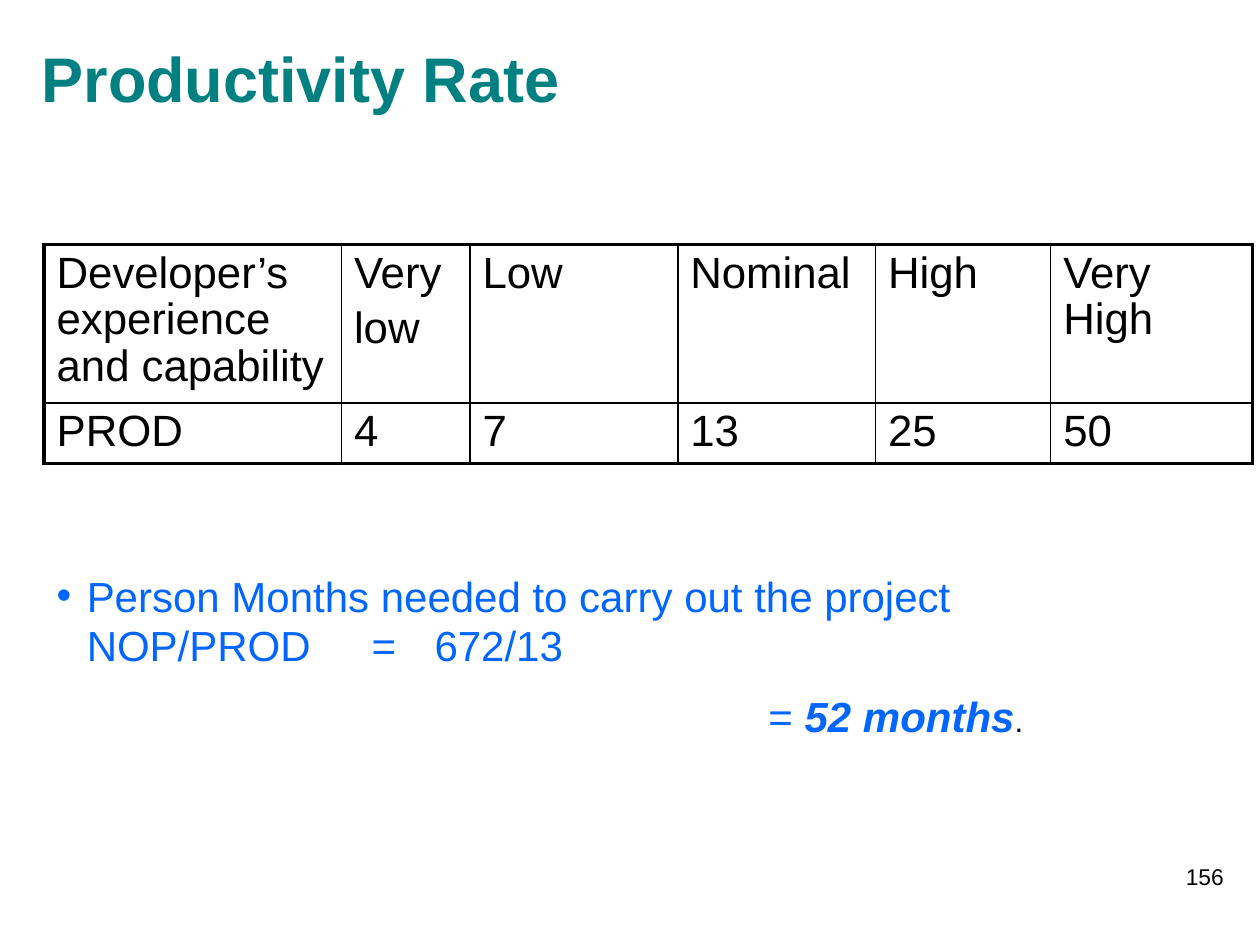
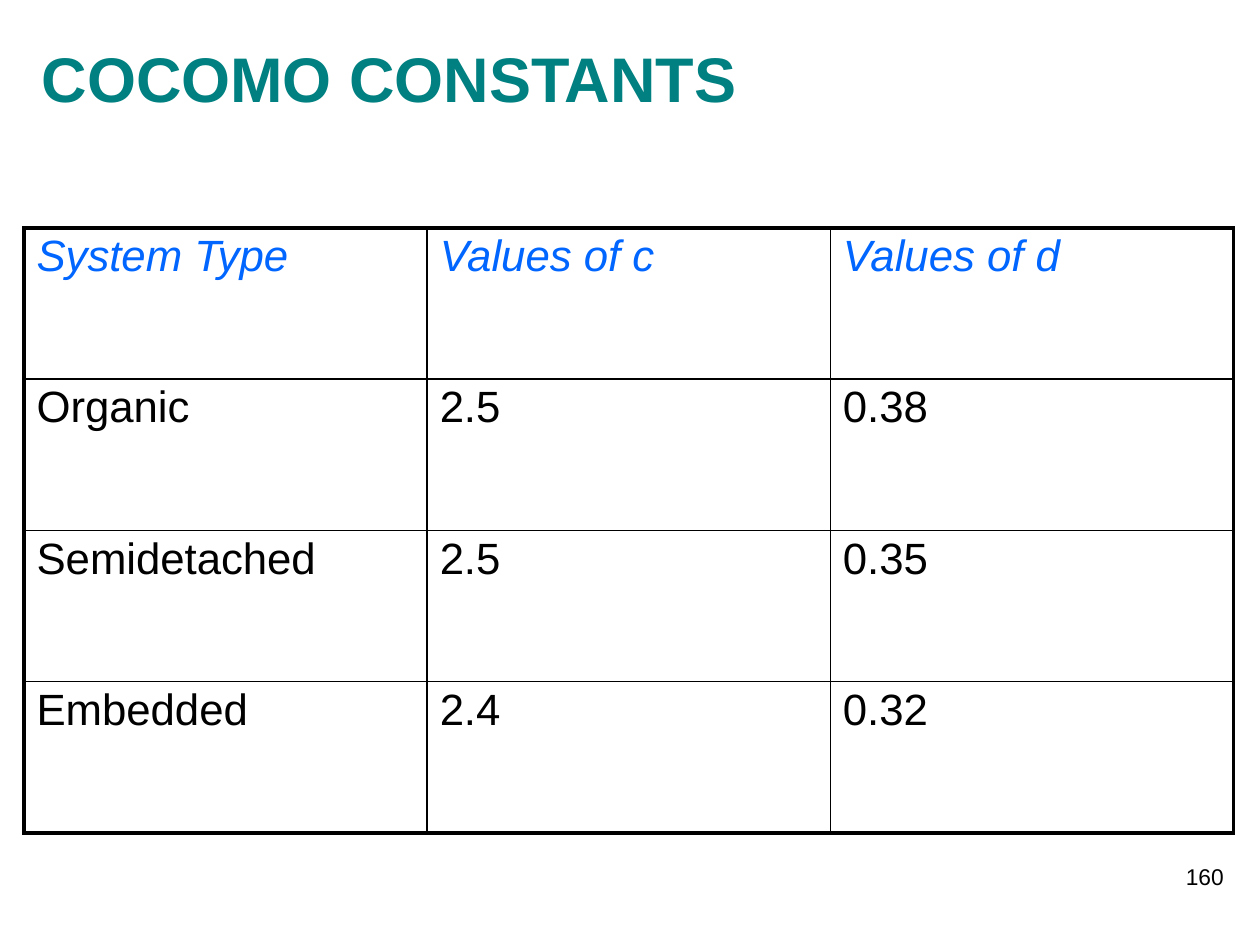
from pptx import Presentation
from pptx.dml.color import RGBColor
from pptx.enum.text import MSO_ANCHOR, PP_ALIGN
from pptx.oxml.ns import qn
from pptx.util import Inches, Pt
from lxml.etree import SubElement

TEAL = RGBColor(0x00, 0x80, 0x80)
BLUE = RGBColor(0x00, 0x66, 0xFF)
BLACK = RGBColor(0x00, 0x00, 0x00)
FONT = "Arial"
OUTER, INNER = Pt(2.25), Pt(1)

SLIDES = [
    {
        "title": "Productivity Rate", "number": "156",
        "at": (0.35, 1.94), "cols": [2.36, 1.02, 1.65, 1.57, 1.39, 1.6],
        "rows": [1.26, 0.48], "header": {"color": BLACK},
        "cells": [
            ["Developer’s experience and capability", "Very\nlow", "Low",
             "Nominal", "High", "Very High"],
            ["PROD", "4", "7", "13", "25", "50"],
        ],
    },
    {
        "title": "COCOMO CONSTANTS", "number": "160",
        "at": (0.19, 1.81), "cols": [3.2] * 3,
        "rows": [1.2] * 4, "header": {"color": BLUE, "italic": True},
        "cells": [
            ["System Type", "Values of c", "Values of d"],
            ["Organic", "2.5", "0.38"],
            ["Semidetached", "2.5", "0.35"],
            ["Embedded", "2.4", "0.32"],
        ],
    },
]


def style(font, size, color, **options):
    font.color.rgb = color
    for name, value in {"name": FONT, "size": Pt(size), **options}.items():
        setattr(font, name, value)


def set_borders(cell, widths):
    """Draw the cell's sides; widths maps lnL, lnR, lnT, lnB to line widths."""
    tcPr = cell._tc.get_or_add_tcPr()
    for i, (side, width) in enumerate(widths.items()):
        ln = tcPr.makeelement(qn(f"a:{side}"), {"w": str(width)})
        fill = SubElement(ln, qn("a:solidFill"))
        SubElement(fill, qn("a:srgbClr"), val=str(BLACK))
        tcPr.insert(i, ln)


prs = Presentation()
prs.slide_width, prs.slide_height = Inches(10), Inches(7.5)

for data in SLIDES:
    s = prs.slides.add_slide(prs.slide_layouts[5])

    title = s.shapes.title
    title.left, title.top = Inches(0.23), Inches(0.15)
    title.width, title.height = Inches(8.03), Inches(0.93)
    title.text = data["title"]
    title.text_frame.vertical_anchor = MSO_ANCHOR.MIDDLE
    p = title.text_frame.paragraphs[0]
    p.alignment = PP_ALIGN.LEFT
    style(p.runs[0].font, 36, TEAL, bold=True)

    cols, rows = data["cols"], data["rows"]
    left, top = data["at"]
    table = s.shapes.add_table(len(rows), len(cols), Inches(left), Inches(top),
                               Inches(sum(cols)), Inches(sum(rows))).table
    table.first_row = table.horz_banding = False
    for column, width in zip(table.columns, cols):
        column.width = Inches(width)
    for row, height in zip(table.rows, rows):
        row.height = Inches(height)
    for y, texts in enumerate(data["cells"]):
        look = data["header"] if y == 0 else {"color": BLACK}
        for x, text in enumerate(texts):
            cell = table.cell(y, x)
            cell.text = text
            cell.fill.background()
            for i, p in enumerate(cell.text_frame.paragraphs):
                p.line_spacing = 0.96
                if i:
                    p.space_before = Pt(5)
                style(p.runs[0].font, 25, **look)
            set_borders(cell, {
                "lnL": OUTER if x == 0 else INNER,
                "lnR": OUTER if x == len(cols) - 1 else INNER,
                "lnT": OUTER if y == 0 else INNER,
                "lnB": OUTER if y == len(rows) - 1 else INNER,
            })

    number = s.shapes.add_textbox(Inches(7.73), Inches(6.8), Inches(2.08), Inches(0.5))
    number.text_frame.word_wrap = True
    p = number.text_frame.paragraphs[0]
    p.alignment = PP_ALIGN.RIGHT
    r = p.add_run()
    r.text = data["number"]
    style(r.font, 13, BLACK)

# Effort estimate below the productivity table
effort = prs.slides[0].shapes.add_textbox(Inches(0.35), Inches(4.48),
                                          Inches(9.21), Inches(1.5))
tf = effort.text_frame
tf.word_wrap = True
HANG = 0.24
EFFORT_LINES = [
    # left margin, first-line indent, space before, runs
    (HANG, -HANG, 0, [("Person Months needed to carry out the project", 24, BLUE, {})]),
    (0, HANG, 0, [("NOP/PROD\t=\t672/13", 24, BLUE, {})]),
    (5.65, 0, 12, [("= ", 24, BLUE, {}),
                   ("52 months", 24, BLUE, {"bold": True, "italic": True}),
                   (".", 18, BLACK, {})]),
]
for i, (margin, indent, before, runs) in enumerate(EFFORT_LINES):
    p = tf.add_paragraph() if i else tf.paragraphs[0]
    p.line_spacing = Pt(28.5)
    if before:
        p.space_before = Pt(before)
    pPr = p._p.get_or_add_pPr()
    pPr.set("marL", str(Inches(margin)))
    pPr.set("indent", str(Inches(indent)))
    if indent < 0:
        color = SubElement(SubElement(pPr, qn("a:buClr")), qn("a:srgbClr"))
        color.set("val", str(BLUE))
        SubElement(pPr, qn("a:buFont"), typeface=FONT)
        SubElement(pPr, qn("a:buChar"), char="•")
    else:
        SubElement(pPr, qn("a:buNone"))
    if indent > 0:
        tabs = SubElement(pPr, qn("a:tabLst"))
        for stop in (3.65, 4):
            SubElement(tabs, qn("a:tab"), pos=str(Inches(stop)), algn="l")
    for text, size, color, options in runs:
        r = p.add_run()
        r.text = text
        style(r.font, size, color, **options)

prs.save("out.pptx")
